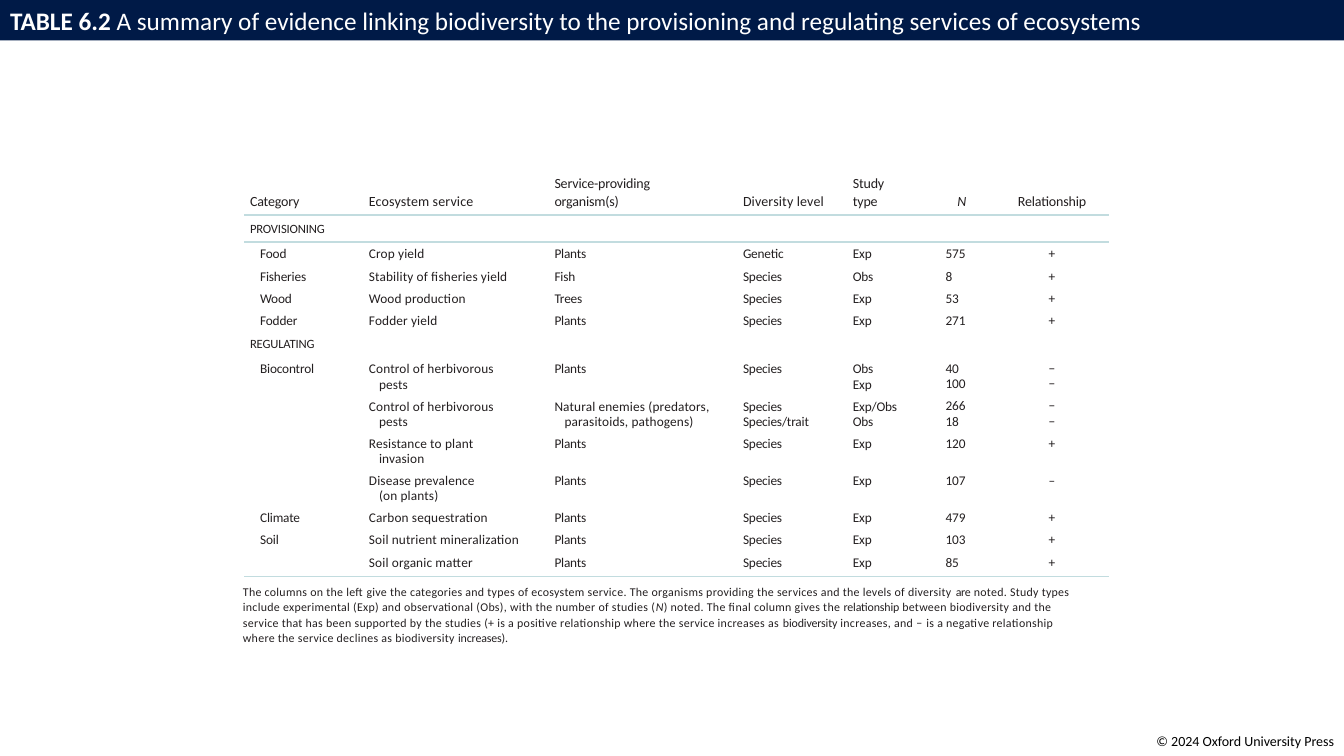
from pptx import Presentation
from pptx.dml.color import RGBColor
from pptx.enum import text as t
from pptx.oxml import parse_xml
from pptx.oxml.ns import nsdecls
from pptx.util import Inches, Pt

COLORS = {"navy": "001A47", "ink": "231F20", "rule": "C2DCDF", "white": "FFFFFF", "black": "000000"}
NO_STYLE = "{2D5ABB26-0587-4C30-8999-92F81FD0307C}"


def style(span, color, spacing=0, **formats):
    """Format one run; spacing is the extra letter spacing in points."""
    span.font.name = "Calibri"
    span.font.color.rgb = RGBColor.from_string(COLORS[color])
    for name, value in formats.items():
        setattr(span.font, name, value)
    if spacing:
        span.font._element.set("spc", str(round(spacing * 100)))


def set_margins(frame, left, top, right, bottom):
    for side, value in zip(("left", "top", "right", "bottom"), (left, top, right, bottom)):
        setattr(frame, f"margin_{side}", Inches(value))


deck = Presentation()
deck.slide_width, deck.slide_height = Inches(13.33), Inches(7.5)
page = deck.slides.add_slide(deck.slide_layouts[5])

# Title bar
title = page.shapes.title
title.left, title.top, title.width, title.height = (Inches(v) for v in (0, 0, 13.33, 0.4))
title.fill.solid()
title.fill.fore_color.rgb = RGBColor.from_string(COLORS["navy"])
title.text_frame.vertical_anchor = t.MSO_ANCHOR.MIDDLE
title.text_frame.word_wrap = True
para = title.text_frame.paragraphs[0]
para.alignment = t.PP_ALIGN.LEFT
for words, bold in (
    ("TABLE 6.2 ", True),
    ("A summary of evidence linking biodiversity to the provisioning and regulating services of ecosystems", False),
):
    span = para.add_run()
    span.text = words
    style(span, "white", size=Pt(18), bold=bold)

# Evidence table: "\v" breaks a line, "\n" starts a paragraph
PESTS = "Control of herbivorous\vpests"
rows = [
    ("Category", "Ecosystem service", "Service-providing\vorganism(s)", "Diversity level", "Study\vtype", "N",
     "Relationship"),
    ("PROVISIONING", "", "", "", "", "", ""),
    ("Food", "Crop yield", "Plants", "Genetic", "Exp", "575", "+"),
    ("Fisheries", "Stability of fisheries yield", "Fish", "Species", "Obs", "8", "+"),
    ("Wood", "Wood production", "Trees", "Species", "Exp", "53", "+"),
    ("Fodder", "Fodder yield", "Plants", "Species", "Exp", "271", "+"),
    ("REGULATING", "", "", "", "", "", ""),
    ("Biocontrol", PESTS, "Plants", "Species", "Obs\vExp", "40\n100", "−\n−"),
    ("", PESTS, "Natural enemies (predators,\vparasitoids, pathogens)", "Species\vSpecies/trait",
     "Exp/Obs\vObs", "266\n18", "−\n−"),
    ("", "Resistance to plant\vinvasion", "Plants", "Species", "Exp", "120", "+"),
    ("", "Disease prevalence\v(on plants)", "Plants", "Species", "Exp", "107", "–"),
    ("Climate", "Carbon sequestration", "Plants", "Species", "Exp", "479", "+"),
    ("Soil", "Soil nutrient mineralization", "Plants", "Species", "Exp", "103", "+"),
    ("", "Soil organic matter", "Plants", "Species", "Exp", "85", "+"),
]
widths = [1.02, 1.96, 1.9, 1.09, 0.8, 0.63, 1.18]
heights = [0.4, 0.27, 0.23, 0.22, 0.22, 0.23, 0.24, 0.38, 0.37, 0.37, 0.37, 0.22, 0.22, 0.25]
body_indents = [0.16, 0.22, 0.1, 0.07, 0.07, 0.19, 0.05]
header_indents = [0.06, 0.22, 0.1, 0.07, 0.07, 0.07, 0.05]
top_margins = {0: 0, 1: 0.07, 2: 0.04, 6: 0.04, 7: 0.04}
section_rows, ruled_rows = (1, 6), (0, 1, 13)

frame = page.shapes.add_table(len(rows), len(widths), Inches(2.42), Inches(1.73), Inches(8.58), Inches(3.99))
table = frame.table
table.first_row = table.horz_banding = False
table._tbl.tblPr.find("{*}tableStyleId").text = NO_STYLE
for column, width in zip(table.columns, widths):
    column.width = Inches(width)
for row, height in zip(table.rows, heights):
    row.height = Inches(height)

for r, values in enumerate(rows):
    header, section = r == 0, r in section_rows
    size = 10 if header else 9 if section else 9.5
    for c, value in enumerate(values):
        cell = table.cell(r, c)
        wrapped = "\v" in value
        indent = header_indents[c] if header or section else body_indents[c]
        top = top_margins.get(r, 0.03) + (0.01 if wrapped and not header else 0)
        set_margins(cell, indent, top, 0, 0.05 if header else 0)
        cell.vertical_anchor = t.MSO_ANCHOR.BOTTOM if header else t.MSO_ANCHOR.TOP
        cell.fill.background()
        if r in ruled_rows:
            cell._tc.get_or_add_tcPr().insert(0, parse_xml(
                f'<a:lnB {nsdecls("a")} w="19050"><a:solidFill><a:srgbClr val="{COLORS["rule"]}"/>'
                "</a:solidFill></a:lnB>"))
        cell.text = value
        for para in cell.text_frame.paragraphs:
            if c == 6 or (header and c == 5):
                para.alignment = t.PP_ALIGN.CENTER
            if wrapped:
                para.line_spacing = Pt(12.7 if header else 10.9)
                if c in (1, 2) and not header:
                    hang = Inches(0.1)
                    para._p.get_or_add_pPr().set("marL", str(hang))
                    para._p.get_or_add_pPr().set("indent", str(-hang))
            elif "\n" in value:
                para.line_spacing = Pt(11.2)
            for span in para.runs:
                style(span, "ink", 0.1 if " " in value else -0.1, size=Pt(size), italic=value == "N")
            if not value:
                para._p.get_or_add_endParaRPr().set("sz", "900")

# Table note
note = page.shapes.add_textbox(Inches(2.4), Inches(5.78), Inches(8.41), Inches(0.63)).text_frame
note.word_wrap = True
set_margins(note, 0.01, 0.01, 0.04, 0)
para = note.paragraphs[0]
para.line_spacing = 1.07
for words, spacing in (
    ("The columns on the left give the categories and types of ecosystem service. The organisms providing "
     "the services and the levels of diversity ", 0.2),
    ("are", -0.2),
    (" noted. Study types include experimental (Exp) and observational (Obs), with the number of studies (", 0.2),
    ("N", 0.2),
    (") noted. The final column gives the ", 0.2),
    ("relationship", -0.1),
    (" between biodiversity and the service that has been supported by the studies (+ is a positive "
     "relationship where the service increases as ", 0.2),
    ("biodiversity", -0.1),
    (" increases, and ", 0.2),
    ("− ", 0.5),
    ("is a negative relationship where the service declines as biodiversity ", 0.2),
    ("increases).", -0.1),
):
    span = para.add_run()
    span.text = words
    style(span, "ink", spacing, size=Pt(8.5), italic=words == "N")

# Copyright line
credit = page.shapes.add_textbox(Inches(11.33), Inches(7.22), Inches(2), Inches(0.27)).text_frame
credit.word_wrap = False
para = credit.paragraphs[0]
para.alignment = t.PP_ALIGN.RIGHT
span = para.add_run()
span.text = "© 2024 Oxford University Press"
style(span, "black", size=Pt(10))

deck.save("out.pptx")
